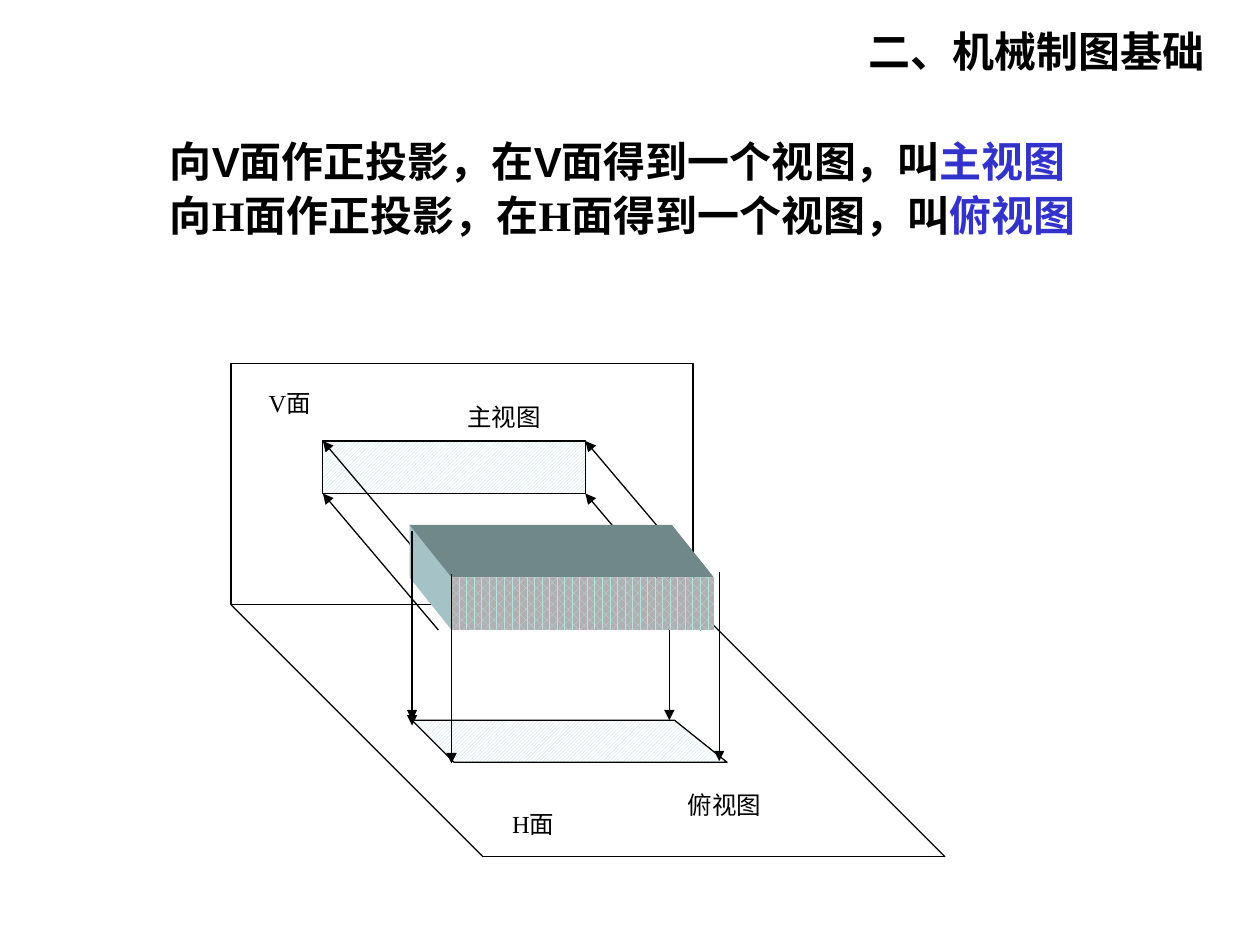
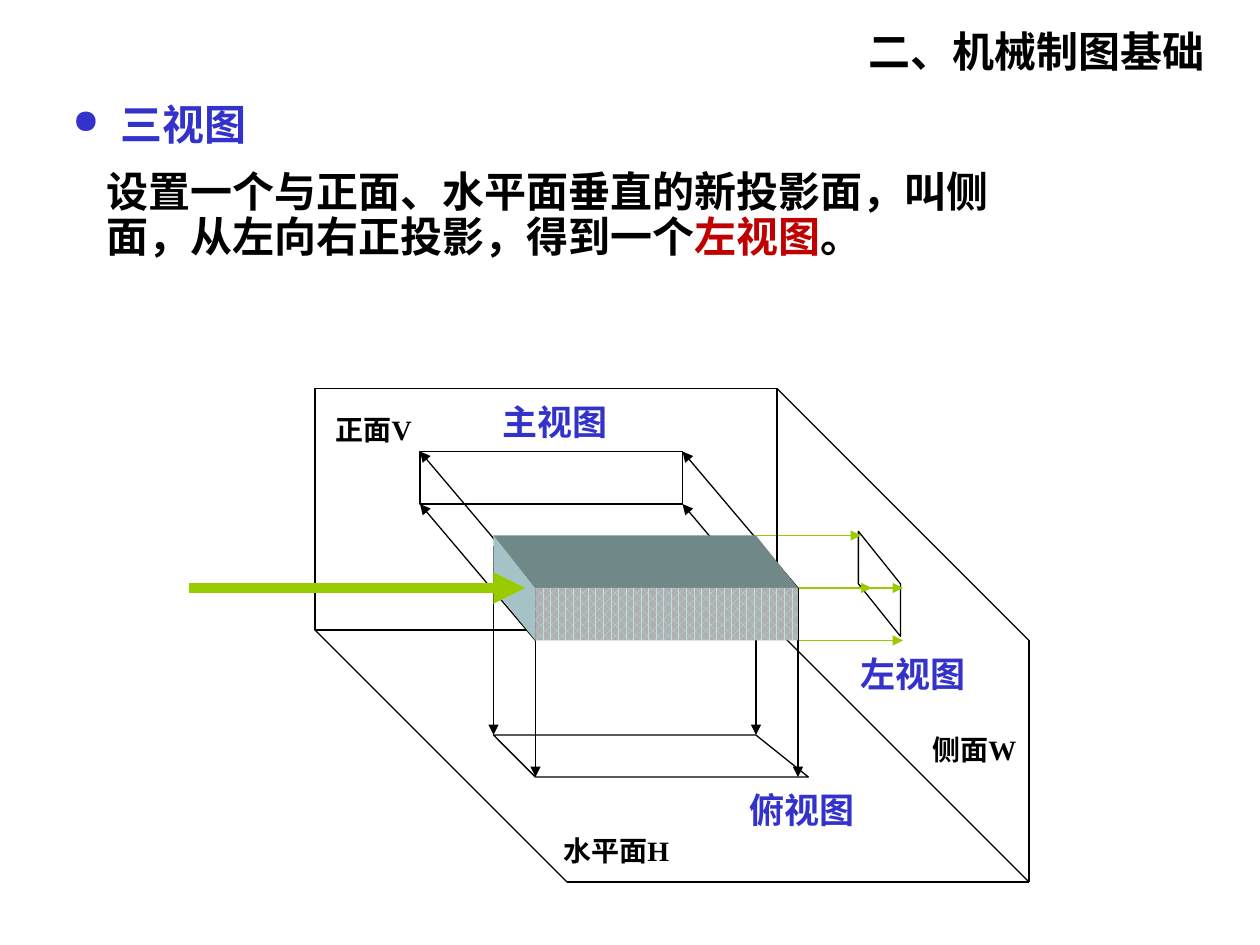
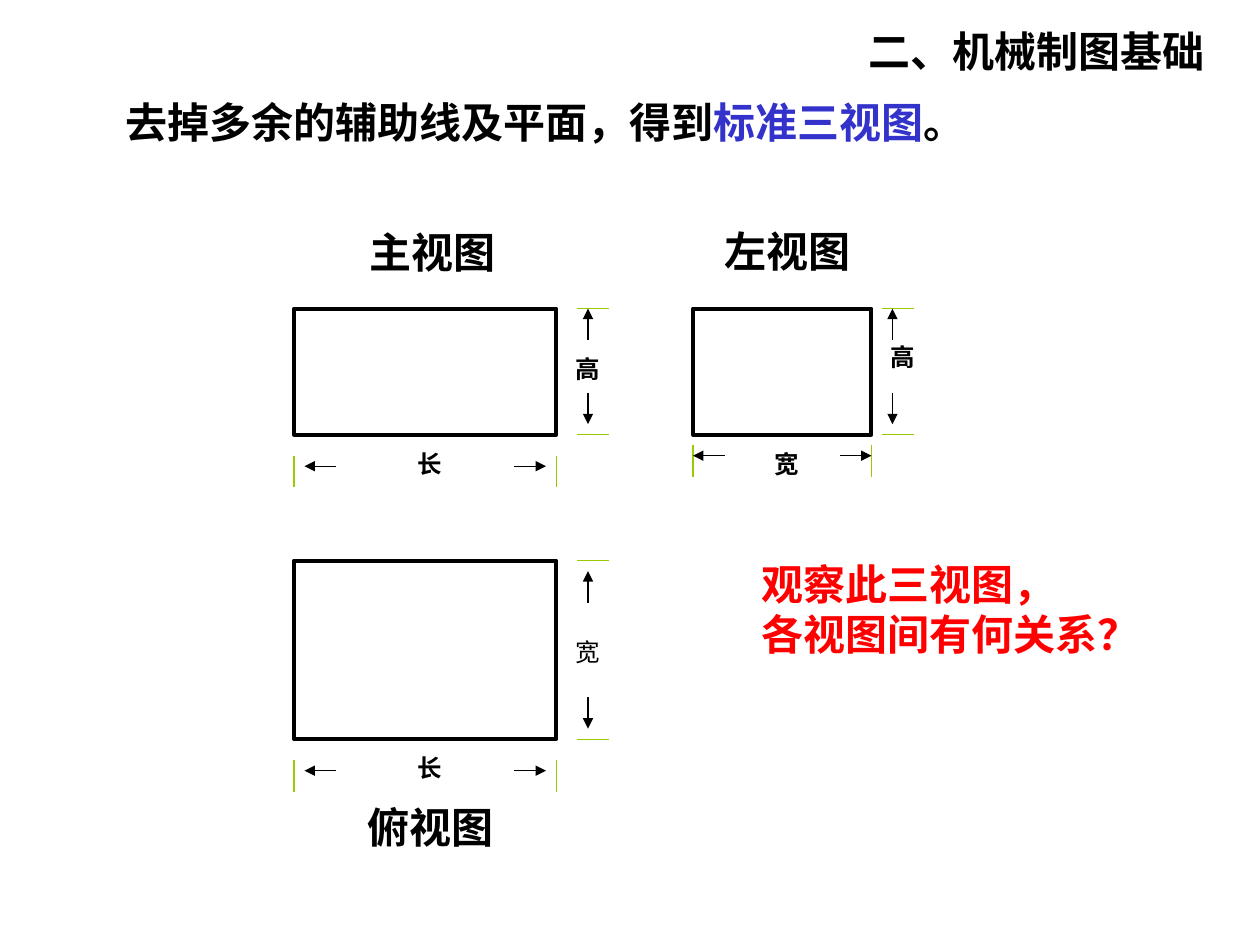
from dataclasses import dataclass

from lxml import etree
from pptx import Presentation
from pptx.dml.color import RGBColor
from pptx.enum.dml import MSO_PATTERN
from pptx.enum.shapes import MSO_CONNECTOR, MSO_SHAPE
from pptx.enum.text import MSO_ANCHOR, PP_ALIGN
from pptx.oxml.ns import qn
from pptx.util import Inches, Pt

LEFT, CENTER, JUSTIFY = PP_ALIGN.LEFT, PP_ALIGN.CENTER, PP_ALIGN.JUSTIFY
TOP, MIDDLE = MSO_ANCHOR.TOP, MSO_ANCHOR.MIDDLE
RECTANGLE, STRAIGHT = MSO_SHAPE.RECTANGLE, MSO_CONNECTOR.STRAIGHT
HATCH, DOTS = MSO_PATTERN.DARK_UPWARD_DIAGONAL, MSO_PATTERN.PERCENT_60


@dataclass(frozen=True)
class Theme:
    ink: str = "000000"
    accent: str = "3333CC"
    dark_red: str = "C00000"
    question: str = "FF0000"
    guide: str = "99CC00"
    paper: str = "FFFFFF"
    solid: str = "BBE0E3"
    solid_top: str = "708887"
    solid_side: str = "A5C3C7"
    solid_grain: str = "B0B0B0"
    serif: str = "Times New Roman"
    sans: str = "Arial"
    chinese: str = "Noto Sans CJK SC"
    heading: int = 24
    view_name: int = 20
    plane_name: int = 16
    small: int = 14
    thin: float = 0.75
    outline: float = 2.25
    sight: float = 6


THEME = Theme()
# The slide is a grid of 120 columns by 90 rows
SLIDE_WIDTH, SLIDE_HEIGHT = Inches(10), Inches(7.5)
COLUMN, ROW = SLIDE_WIDTH / 120, SLIDE_HEIGHT / 90
SOLID_W, SOLID_H = 25, 5


def emu(x, y):
    return round(x * COLUMN), round(y * ROW)


def shifted(origin, points):
    return [(origin[0] + x, origin[1] + y) for x, y in points]


# ---- Drawing helpers ----
def style(shape, fill=None, pattern=None, back=THEME.paper, line=THEME.ink, width=THEME.thin):
    shape.shadow.inherit = False
    if pattern:
        shape.fill.patterned()
        shape.fill.pattern = pattern
        shape.fill.fore_color.rgb = RGBColor.from_string(fill)
        shape.fill.back_color.rgb = RGBColor.from_string(back)
    elif fill:
        shape.fill.solid()
        shape.fill.fore_color.rgb = RGBColor.from_string(fill)
    else:
        shape.fill.background()
    if line:
        shape.line.color.rgb = RGBColor.from_string(line)
        shape.line.width = Pt(width)
    else:
        shape.line.fill.background()


def rectangle(slide, x, y, w, h, **look):
    style(slide.shapes.add_shape(RECTANGLE, *emu(x, y), *emu(w, h)), **look)


def polygon(slide, points, **look):
    corners = [emu(*point) for point in points]
    outline = slide.shapes.build_freeform(*corners[0], scale=1.0)
    outline.add_line_segments(corners[1:], close=True)
    style(outline.convert_to_shape(), **look)


def line(slide, start, end, color=THEME.ink, width=THEME.thin, arrow=False):
    stroke = slide.shapes.add_connector(STRAIGHT, *emu(*start), *emu(*end))
    stroke.line.color.rgb = RGBColor.from_string(color)
    stroke.line.width = Pt(width)
    if arrow:
        etree.SubElement(stroke.line._get_or_add_ln(), qn("a:tailEnd"), type="triangle")
    etree.SubElement(stroke._element.spPr, qn("a:effectLst"))


def add_bullet(paragraph, color):
    properties = paragraph._p.get_or_add_pPr()
    hang = Inches(0.38)
    properties.set("marL", str(hang))
    properties.set("indent", str(-hang))
    tint = etree.SubElement(properties, qn("a:buClr"))
    etree.SubElement(tint, qn("a:srgbClr"), val=color)
    etree.SubElement(properties, qn("a:buSzPct"), val="80000")
    etree.SubElement(properties, qn("a:buChar"), char="●")


def write(slide, box, paragraphs, size=THEME.heading, fonts=(THEME.serif,), color=THEME.ink,
          bold=True, align=LEFT, anchor=TOP, spacing=0.9, gap=0, bullet=False):
    """Each paragraph is a list of (text, colour) pairs; None keeps the main colour."""
    frame = slide.shapes.add_textbox(*emu(*box[:2]), *emu(*box[2:])).text_frame
    frame.word_wrap = True
    frame.vertical_anchor = anchor
    for i, pieces in enumerate(paragraphs):
        paragraph = frame.add_paragraph() if i else frame.paragraphs[0]
        paragraph.alignment = align
        paragraph.line_spacing = spacing
        if i and gap:
            paragraph.space_before = Pt(gap)
        if bullet:
            add_bullet(paragraph, color)
        font = paragraph.font
        font.size, font.bold, font.name = Pt(size), bold, fonts[i % len(fonts)]
        font.color.rgb = RGBColor.from_string(color)
        defaults = paragraph._p.pPr.find(qn("a:defRPr"))
        etree.SubElement(defaults, qn("a:ea"), typeface=THEME.chinese)
        for text, tint in pieces:
            run = paragraph.add_run()
            run.text = text
            if tint:
                run.font.color.rgb = RGBColor.from_string(tint)


def label(slide, center_x, top, width, text, size=THEME.small, **look):
    write(slide, (center_x - width / 2, top, width, size * 0.26), [[(text, None)]],
          size=size, align=CENTER, **look)


def new_slide(deck):
    return deck.slides.add_slide(deck.slide_layouts[6])


def chapter_title(slide):
    write(slide, (77.5, 0, 42.5, 9.6), [[("二、机械制图基础", None)]],
          fonts=(THEME.chinese,), align=CENTER, anchor=MIDDLE, spacing=1.0)


# ---- Projection scene, placed from the top left corner of plane V ----
def planes(slide, origin):
    rectangle(slide, *origin, 44, 23)
    left, right, near_left, near_right = shifted(origin, [(0, 23), (44, 23), (24, 47), (68, 47)])
    for start, end in ((left, near_left), (right, near_right), (near_left, near_right)):
        line(slide, start, end)


def front_projection(slide, corner, **look):
    rectangle(slide, *corner, SOLID_W, SOLID_H, **look)
    for target in shifted(corner, [(0, 0), (SOLID_W, SOLID_H), (0, SOLID_H), (SOLID_W, 0)]):
        line(slide, (target[0] + 11, target[1] + 13), target, arrow=True)


def drop_lines(slide, origin, starts):
    for x, y in shifted(origin, starts):
        line(slide, (x, y), (x, y + 18), arrow=True)


def solid(slide, corner):
    front_left, front_right, back_right, back_left, low_front, low_back = shifted(corner, [
        (0, 0), (SOLID_W, 0), (SOLID_W - 4, -5), (-4, -5), (0, SOLID_H), (-4, 0)])
    polygon(slide, [front_left, low_front, low_back, back_left], fill=THEME.solid_side, line=None)
    polygon(slide, [front_left, front_right, back_right, back_left],
            fill=THEME.solid_top, line=None)
    rectangle(slide, *corner, SOLID_W, SOLID_H, fill=THEME.solid, pattern=DOTS,
              back=THEME.solid_grain, line=None)


def top_projection(slide, corner, **look):
    polygon(slide, shifted(corner, [(0, 0), (4, 4), (30, 4), (25, 0)]), **look)


def side_projection(slide, origin):
    top, near_top, near_bottom = shifted(origin, [(44, 0), (68, 24), (68, 47)])
    line(slide, top, near_top)
    line(slide, near_top, near_bottom)
    polygon(slide, shifted(origin, [(51.75, 13.6), (51.75, 18.6), (55.75, 23.6), (55.75, 18.6)]))
    for x, y in shifted(origin, [(46, 19), (42, 14), (46, 24), (43, 19)]):
        line(slide, (x, y), (x + 10, y), color=THEME.guide, arrow=True)


# ---- Dimension with two guides, two arrows and a label ----
def dimension(slide, start, length, text, vertical=False, insets=(1, 1),
              shift=(0, 0), bold=True):
    def at(along, across):
        dx, dy = (across, along) if vertical else (along, across)
        return start[0] + dx, start[1] + dy

    for end in (0, length):
        line(slide, at(end, 0), at(end, 3), color=THEME.guide)
    first, last = insets[0], length - insets[1]
    line(slide, at(first + 3, 1), at(first, 1), arrow=True)
    line(slide, at(last - 3, 1), at(last, 1), arrow=True)
    x, y = at(length / 2, 1)
    label(slide, x + shift[0], y + shift[1] - 1.95, 12, text, bold=bold)


# ---- Slides ----
def two_views_slide(deck):
    slide = new_slide(deck)
    origin = x, y = 22, 34.6
    hatched = dict(fill=THEME.solid, pattern=HATCH)
    write(slide, (15, 12.9, 98, 10.9), [
        [("向V面作正投影，在V面得到一个视图，叫", None), ("主视图", THEME.accent)],
        [("向H面作正投影，在H面得到一个视图，叫", None), ("俯视图", THEME.accent)],
    ], fonts=(THEME.sans, THEME.serif), align=JUSTIFY, gap=4.8)
    planes(slide, origin)
    # Plane names stay on one line, clear of the edges
    label(slide, x + 5.6, y + 2.1, 10, "V面", bold=False)
    label(slide, x + 28.8, y + 42.2, 10, "H面", bold=False)
    front_projection(slide, (x + 8.75, y + 7.4), **hatched)
    drop_lines(slide, origin, [(41.75, 16)])
    solid(slide, (x + 21, y + 20.4))
    top_projection(slide, (x + 17.25, y + 34), **hatched)
    label(slide, x + 26, y + 3.4, 12, "主视图", bold=False)
    label(slide, x + 47, y + 40.4, 12, "俯视图", bold=False)
    drop_lines(slide, origin, [(17.25, 16), (17.25, 16.5), (21, 20.1), (46.5, 19.9)])
    chapter_title(slide)


def three_views_slide(deck):
    slide = new_slide(deck)
    origin = x, y = 30, 37
    view_name = dict(size=THEME.view_name, color=THEME.accent)
    write(slide, (9, 15.7, 90, 10), [[
        ("设置一个与正面、水平面垂直的新投影面，叫侧面，从左向右正投影，得到一个", None),
        ("左视图", THEME.dark_red), ("。", None)]])
    side_projection(slide, origin)
    planes(slide, origin)
    # Plane names stay on one line, clear of the edges
    for center_x, top, text in ((62.8, 32.5, "侧面W"), (5.6, 2.1, "正面V"),
                                (28.7, 42.2, "水平面H")):
        label(slide, x + center_x, y + top, 16, text, size=THEME.plane_name)
    front_projection(slide, (x + 10, y + 6))
    drop_lines(slide, origin, [(21, 19), (17, 15), (46, 19), (42, 15)])
    solid(slide, (x + 21, y + 19))
    top_projection(slide, (x + 17, y + 33))
    for center_x, top, text in ((22.9, 1, "主视图"), (46.4, 38, "俯视图"), (57, 25, "左视图")):
        label(slide, x + center_x, y + top, 16, text, **view_name)
    # Direction of sight
    line(slide, (x - 12, y + 19), (x + 20, y + 19), color=THEME.guide,
         width=THEME.sight, arrow=True)
    write(slide, (5.2, 8.8, 20, 6), [[("三视图", None)]], fonts=(THEME.sans,),
          color=THEME.accent, align=CENTER, spacing=1.0, bullet=True)
    chapter_title(slide)


def standard_views_slide(deck):
    slide = new_slide(deck)
    write(slide, (10.8, 9.1, 94, 5.5), [[
        ("去掉多余的辅助线及平面，得到", None), ("标准三视图", THEME.accent), ("。", None)]])
    for center_x, top, text in ((41.2, 21.5, "主视图"), (75, 21.4, "左视图"),
                                (41, 76.3, "俯视图")):
        label(slide, center_x, top, 25, text, size=THEME.heading)
    # Outlines share columns and rows: length, height and width
    length, height, width = 25, 12, 17
    left, side, upper, lower = 28, 66, 29.4, 53.4
    for view in ((left, upper, length, height), (left, lower, length, width),
                 (side, upper, width, height)):
        rectangle(slide, *view, width=THEME.outline)
    # Front view
    dimension(slide, (left, upper + height + 2), length, "长", shift=(0.4, 0))
    dimension(slide, (left + length + 2, upper), height, "高", vertical=True, insets=(0, 1))
    # Top view
    dimension(slide, (left, lower + width + 2), length, "长", shift=(0.4, 0))
    dimension(slide, (left + length + 2, lower), width, "宽", vertical=True,
              shift=(0, 0.4), bold=False)
    # Left view
    dimension(slide, (side, upper + height + 1), width, "宽", insets=(0, 0), shift=(0.4, 1))
    dimension(slide, (side + width + 1, upper), height, "高", vertical=True,
              insets=(0, 1), shift=(1, -1.1))
    write(slide, (71.3, 52.6, 39.7, 10.9),
          [[("观察此三视图，", None)], [("各视图间有何关系？", None)]],
          color=THEME.question, spacing=1.0)
    chapter_title(slide)


def main():
    deck = Presentation()
    deck.slide_width, deck.slide_height = SLIDE_WIDTH, SLIDE_HEIGHT
    for build in (two_views_slide, three_views_slide, standard_views_slide):
        build(deck)
    deck.save("out.pptx")


if __name__ == "__main__":
    main()
